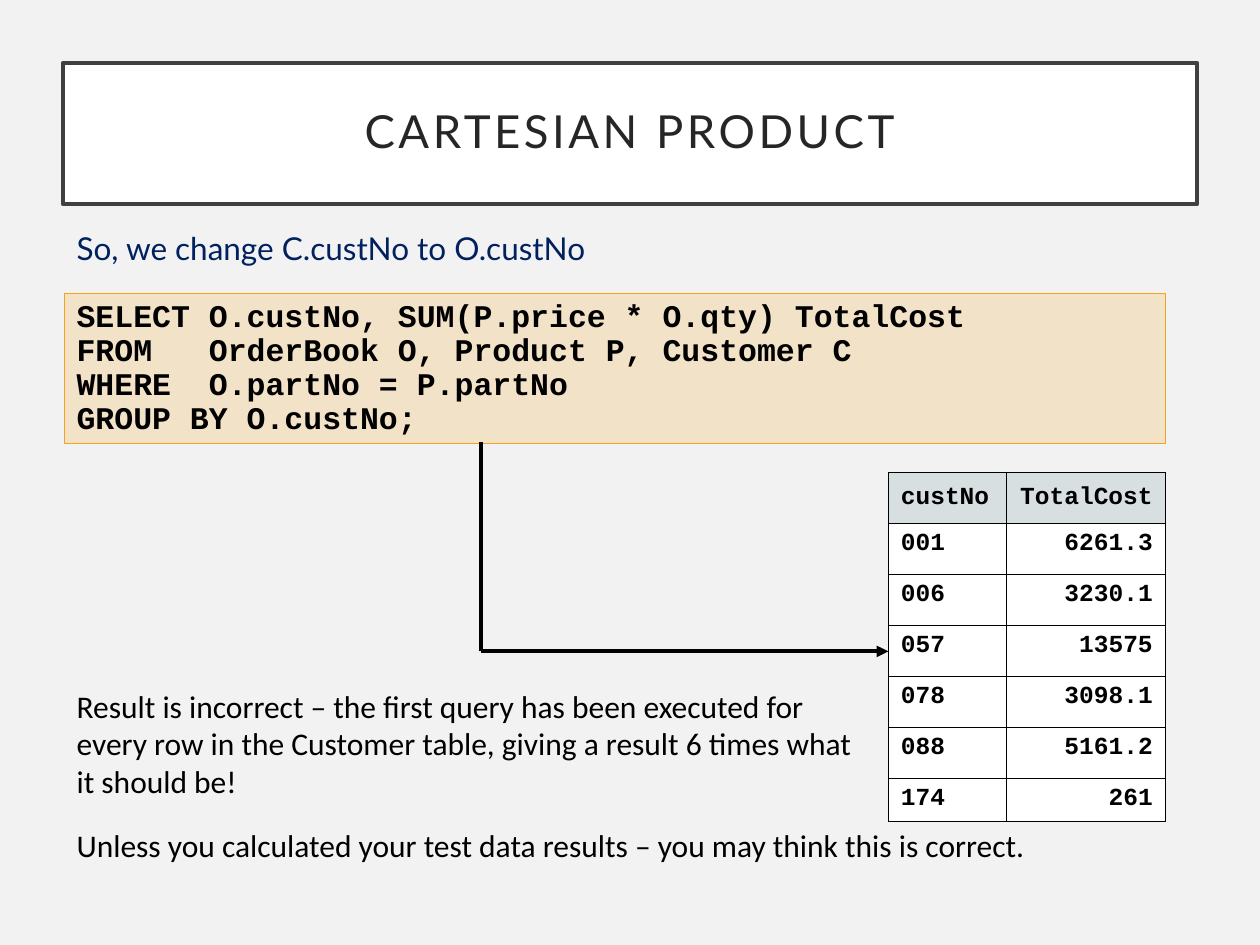
import pptx
import pptx.util
import pptx.dml.color
import pptx.enum.shapes
import pptx.enum.text
import pptx.oxml.ns
import lxml.etree

Inches, Pt = pptx.util.Inches, pptx.util.Pt
RGBColor = pptx.dml.color.RGBColor
Align = pptx.enum.text.PP_ALIGN
Anchor = pptx.enum.text.MSO_ANCHOR
qn = pptx.oxml.ns.qn

BLACK = RGBColor(0, 0, 0)
WHITE = RGBColor(255, 255, 255)
PAPER = RGBColor(0xF2, 0xF2, 0xF2)
FRAME = RGBColor(0x40, 0x40, 0x40)
INK = RGBColor(0x26, 0x26, 0x26)
NAVY = RGBColor(0, 0x20, 0x60)
AMBER = RGBColor(0xF6, 0xA2, 0x1D)
HEAD = RGBColor(0xD7, 0xDF, 0xE1)

TITLE = "CARTESIAN PRODUCT"
QUERY = [
    "SELECT O.custNo, SUM(P.price * O.qty) TotalCost",
    "FROM   OrderBook O, Product P, Customer C",
    "WHERE  O.partNo = P.partNo",
    "GROUP BY O.custNo;",
]
LEFT = 0.51
NOTES = [  # text, top, width, height, font, colour
    ("So, we change C.custNo to O.custNo", 1.77, 8.43, 0.4, "Lato", NAVY),
    ("Unless you calculated your test data results \u2013 you may think this "
     "is correct.", 6.51, 9.13, 0.4, "Calibri", BLACK),
    ("Result is incorrect \u2013 the first query has been executed for every "
     "row in the Customer table, giving a result 6 times what it should be!",
     5.4, 6.38, 1.01, "Calibri", BLACK),
]
ROWS = [
    ("custNo", "TotalCost"),
    ("001", "6261.3"),
    ("006", "3230.1"),
    ("057", "13575"),
    ("078", "3098.1"),
    ("088", "5161.2"),
    ("174", "261"),
]
COLS = (0.94, 1.26)
GRID_X, GRID_Y, GRID_H, LAST_H = 7.05, 3.75, 2.77, 0.34
BEND_X, BEND_Y, CODE_END = 3.82, 5.17, 3.51


def style(para, name, size, color, bold=False, align=Align.LEFT):
    """Set the font and alignment of a paragraph."""
    font = para.font
    font.name, font.size, font.bold = name, Pt(size), bold
    font.color.rgb = color
    para.alignment = align


def paint(shape, fill, line, width):
    """Set a solid fill and an outline."""
    shape.fill.solid()
    shape.fill.fore_color.rgb = fill
    shape.line.color.rgb = line
    shape.line.width = Pt(width)


def add_title(slide):
    """Fill and frame the title placeholder."""
    title = slide.shapes.title
    title.left, title.top = Inches(0.5), Inches(0.5)
    title.width, title.height = Inches(9), Inches(1.12)
    paint(title, WHITE, FRAME, 2.5)
    frame = title.text_frame
    frame.text = TITLE
    frame.vertical_anchor = Anchor.MIDDLE
    frame.margin_left = frame.margin_right = Inches(0.2)
    frame.margin_top = frame.margin_bottom = Inches(0.2)
    para = frame.paragraphs[0]
    style(para, "Lato", 26, INK, align=Align.CENTER)
    para.line_spacing = 0.9
    para.runs[0].font._element.set("spc", "200")


def add_query(slide):
    """Draw the tinted box that holds the query."""
    box = slide.shapes.add_shape(
        pptx.enum.shapes.MSO_SHAPE.RECTANGLE,
        Inches(LEFT), Inches(2.33), Inches(8.74), Inches(1.19))
    box.shadow.inherit = False
    paint(box, AMBER, AMBER, 0.75)
    tint = box._element.spPr.find(qn("a:solidFill"))[0]
    lxml.etree.SubElement(tint, qn("a:alpha"), val="20000")
    frame = box.text_frame
    frame.text = "\n".join(QUERY)
    frame.vertical_anchor = Anchor.TOP
    for para in frame.paragraphs:
        style(para, "Courier New", 18, BLACK, bold=True)
        para.line_spacing = 0.9
        props = para._p.get_or_add_pPr()
        props.set("marL", str(Inches(0.67)))
        props.set("indent", str(Inches(-0.67)))


def add_note(slide, text, top, width, height, name, color):
    """Add one wrapped line of comment."""
    box = slide.shapes.add_textbox(
        Inches(LEFT), Inches(top), Inches(width), Inches(height))
    box.text_frame.word_wrap = True
    box.text_frame.text = text
    style(box.text_frame.paragraphs[0], name, 18, color)


def add_line(slide, start, end, arrow=False):
    """Draw a straight black line, with an arrowhead if asked."""
    line = slide.shapes.add_connector(
        pptx.enum.shapes.MSO_CONNECTOR.STRAIGHT,
        *(Inches(n) for n in start + end))
    line.line.color.rgb = BLACK
    line.line.width = Pt(2.25)
    props = line._element.spPr
    if arrow:
        lxml.etree.SubElement(
            props.find(qn("a:ln")), qn("a:tailEnd"), type="triangle")
    lxml.etree.SubElement(props, qn("a:effectLst"))


def add_edges(cell):
    """Give a cell thin black borders on all sides."""
    props = cell._tc.get_or_add_tcPr()
    for spot, side in enumerate(("lnL", "lnR", "lnT", "lnB")):
        edge = lxml.etree.Element(qn("a:" + side), w=str(Pt(1)))
        fill = lxml.etree.SubElement(edge, qn("a:solidFill"))
        lxml.etree.SubElement(fill, qn("a:srgbClr"), val=str(BLACK))
        props.insert(spot, edge)


def add_grid(slide):
    """Build the table of results."""
    grid = slide.shapes.add_table(
        len(ROWS), len(COLS), Inches(GRID_X), Inches(GRID_Y),
        Inches(sum(COLS)), Inches(GRID_H)).table
    grid.first_row = grid.horz_banding = False
    for col, width in zip(grid.columns, COLS):
        col.width = Inches(width)
    step = (GRID_H - LAST_H) / (len(ROWS) - 1)
    for r, row in enumerate(ROWS):
        grid.rows[r].height = Inches(LAST_H if r == len(ROWS) - 1 else step)
        for c, text in enumerate(row):
            cell = grid.cell(r, c)
            cell.text = text
            cell.vertical_anchor = Anchor.TOP if r else Anchor.MIDDLE
            cell.fill.solid()
            cell.fill.fore_color.rgb = WHITE if r else HEAD
            style(cell.text_frame.paragraphs[0], "Courier New", 14, BLACK,
                  bold=True, align=Align.RIGHT if c else Align.LEFT)
            add_edges(cell)


def main():
    """Build and save the slide."""
    deck = pptx.Presentation()
    deck.slide_width, deck.slide_height = Inches(10), Inches(7.5)
    slide = deck.slides.add_slide(deck.slide_layouts[5])
    slide.background.fill.solid()
    slide.background.fill.fore_color.rgb = PAPER
    add_title(slide)
    add_query(slide)
    bend = (BEND_X, BEND_Y)
    add_line(slide, bend, (GRID_X, BEND_Y), arrow=True)
    add_line(slide, bend, (BEND_X, CODE_END))
    for note in NOTES:
        add_note(slide, *note)
    add_grid(slide)
    deck.save("out.pptx")


main()
